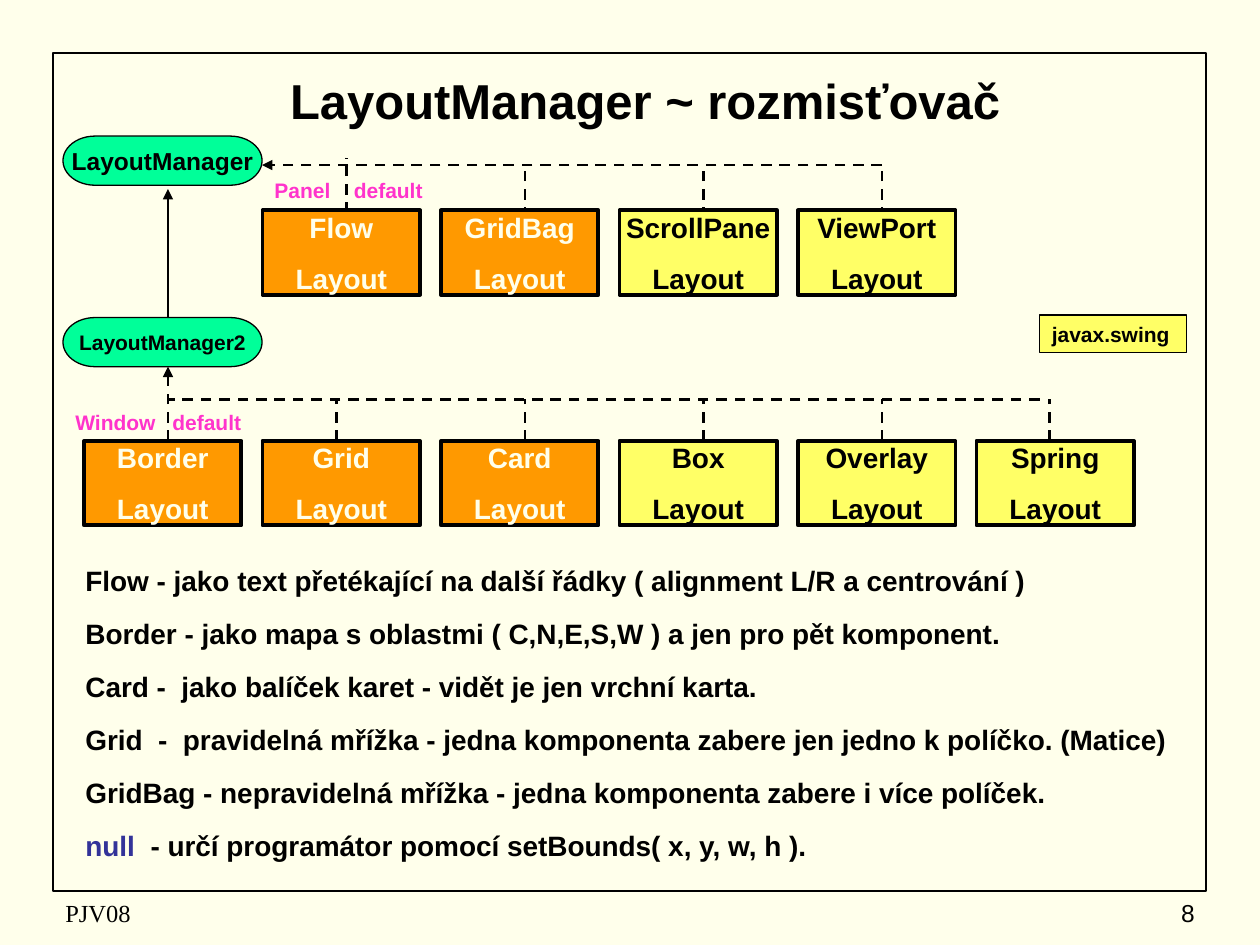
from lxml import etree
from pptx import Presentation
from pptx.dml.color import RGBColor
from pptx.enum.dml import MSO_LINE
from pptx.enum.shapes import MSO_CONNECTOR, MSO_SHAPE
from pptx.enum.text import MSO_ANCHOR, PP_ALIGN
from pptx.oxml.ns import qn
from pptx.util import Inches, Pt

STRAIGHT = MSO_CONNECTOR.STRAIGHT
RECTANGLE, TERMINATOR = MSO_SHAPE.RECTANGLE, MSO_SHAPE.FLOWCHART_TERMINATOR
DASH = MSO_LINE.DASH
TOP, MIDDLE = MSO_ANCHOR.TOP, MSO_ANCHOR.MIDDLE
LEFT, CENTER, RIGHT = PP_ALIGN.LEFT, PP_ALIGN.CENTER, PP_ALIGN.RIGHT

COLORS = {
    "cream": "FFFFEB", "black": "000000", "green": "00FF99", "orange": "FF9900",
    "yellow": "FFFF66", "pink": "FF33CC", "navy": "333399",
}
AWT = ("orange", "cream")
SWING = ("yellow", "black")

FIRST_COLUMN, FIRST_DROP, COLUMN_PITCH = 2 / 3, 4 / 3, 17 / 12
BOX_WIDTH, BOX_HEIGHT = 1.25, 0.67
UPPER_ROW, LOWER_ROW = 1.67, 3.5
UPPER_TRUNK, LOWER_TRUNK = 1.31, 3.17
INTERFACE_LEFT, INTERFACE_WIDTH, INTERFACE_HEIGHT = 0.5, 1.58, 0.39
MANAGER_TOP, MANAGER2_TOP = 1.08, 2.52

# Column, name, style
UPPER_LAYOUTS = [
    (1, "Flow", AWT), (2, "GridBag", AWT),
    (3, "ScrollPane", SWING), (4, "ViewPort", SWING),
]
LOWER_LAYOUTS = [
    (0, "Border", AWT), (1, "Grid", AWT), (2, "Card", AWT),
    (3, "Box", SWING), (4, "Overlay", SWING), (5, "Spring", SWING),
]
DESCRIPTIONS = [
    [("Flow - jako text přetékající na další řádky ( alignment L/R a centrování )", "black")],
    [("Border - jako mapa s oblastmi ( C,N,E,S,W ) a jen pro pět komponent.", "black")],
    [("Card -  jako balíček karet - vidět je jen vrchní karta.", "black")],
    [("Grid  -  pravidelná mřížka - jedna komponenta zabere jen jedno k políčko. (Matice)", "black")],
    [("GridBag - nepravidelná mřížka - jedna komponenta zabere i více políček.", "black")],
    [("null", "navy"), ("  - určí programátor pomocí setBounds( x, y, w, h ).", "black")],
]


def rgb(name):
    return RGBColor.from_string(COLORS[name])


def set_font(paragraph, size, color="black", bold=True, family="Arial"):
    font = paragraph.font
    font.name, font.size, font.bold = family, Pt(size), bold
    font.color.rgb = rgb(color)


def write(frame, lines, size, color="black", align=LEFT, anchor=TOP, wrap=True, gap=0, **font):
    frame.word_wrap = wrap
    frame.vertical_anchor = anchor
    for i, line in enumerate(lines):
        paragraph = frame.add_paragraph() if i else frame.paragraphs[0]
        paragraph.text = line
        paragraph.alignment = align
        if i:
            paragraph.space_before = Pt(gap)
        set_font(paragraph, size, color, **font)


def add_node(slide, preset, left, top, width, height, fill=None, line_width=0.75):
    node = slide.shapes.add_shape(
        preset, Inches(left), Inches(top), Inches(width), Inches(height))
    node.shadow.inherit = False
    if fill:
        node.fill.solid()
        node.fill.fore_color.rgb = rgb(fill)
    else:
        node.fill.background()
    node.line.color.rgb = rgb("black")
    node.line.width = Pt(line_width)
    return node


def add_text(slide, left, top, width, height):
    return slide.shapes.add_textbox(
        Inches(left), Inches(top), Inches(width), Inches(height)).text_frame


def add_interface(slide, name, top, size):
    node = add_node(slide, TERMINATOR, INTERFACE_LEFT, top,
                    INTERFACE_WIDTH, INTERFACE_HEIGHT, "green")
    write(node.text_frame, [name], size, align=CENTER, anchor=MIDDLE, wrap=False)


def add_layout_row(slide, layouts, top):
    for column, name, (fill, text_color) in layouts:
        left = FIRST_COLUMN + column * COLUMN_PITCH
        box = add_node(slide, RECTANGLE, left, top, BOX_WIDTH, BOX_HEIGHT, fill, 2.25)
        write(box.text_frame, [name, "Layout"], size=16, color=text_color,
              align=CENTER, anchor=MIDDLE, wrap=False, gap=10)


def add_link(slide, start, end, dashed=True, arrow=False):
    link = slide.shapes.add_connector(STRAIGHT, *map(Inches, start + end))
    link.line.color.rgb = rgb("black")
    link.line.width = Pt(1.5)
    if dashed:
        link.line.dash_style = DASH
    properties = link._element.spPr
    if arrow:
        etree.SubElement(properties.find(qn("a:ln")), qn("a:tailEnd"), type="triangle")
    etree.SubElement(properties, qn("a:effectLst"))


def add_drops(slide, positions, bottom, trunk):
    for x in positions:
        add_link(slide, (x, bottom), (x, trunk))


def add_default_label(slide, owner, left, top, width, tab):
    """Label a default layout, leaving a tab gap for the line that passes through."""
    frame = add_text(slide, left, top, width, 0.33)
    frame.margin_top = Inches(0.08)
    tabs = etree.SubElement(frame.paragraphs[0]._p.get_or_add_pPr(), qn("a:tabLst"))
    etree.SubElement(tabs, qn("a:tab"), pos=str(Inches(tab)), algn="l")
    write(frame, [f"{owner}\tdefault"], size=12, color="pink")


def add_descriptions(slide):
    frame = add_text(slide, 0.58, 4.42, 8.9, 2.48)
    write(frame, [""] * len(DESCRIPTIONS), size=16, gap=11.2)
    for paragraph, parts in zip(frame.paragraphs, DESCRIPTIONS):
        for text, color in parts:
            run = paragraph.add_run()
            run.text = text
            if color != "black":
                run.font.color.rgb = rgb(color)


def add_title(slide, text):
    title = slide.shapes.title
    title.left, title.top = Inches(0.83), Inches(0.5)
    title.width, title.height = Inches(8.58), Inches(0.58)
    write(title.text_frame, [text], size=28, align=CENTER, anchor=MIDDLE)


def add_links(slide):
    spine, flow, *upper_drops = [FIRST_DROP + i * COLUMN_PITCH for i in range(5)]
    grid, spring = 2.67, 8.33

    add_link(slide, (spine, MANAGER2_TOP), (spine, 1.5), dashed=False, arrow=True)
    add_link(slide, (upper_drops[-1], UPPER_TRUNK),
             (INTERFACE_LEFT + INTERFACE_WIDTH, UPPER_TRUNK), arrow=True)
    add_link(slide, (flow, 1.69), (flow, 1.25))
    add_drops(slide, upper_drops, 1.73, UPPER_TRUNK)

    add_link(slide, (8.25, LOWER_TRUNK), (spine, LOWER_TRUNK))
    add_drops(slide, [grid, *upper_drops, spring], LOWER_ROW, LOWER_TRUNK)
    add_link(slide, (spine, LOWER_ROW), (spine, MANAGER2_TOP + INTERFACE_HEIGHT), arrow=True)


def add_hierarchy(slide):
    add_interface(slide, "LayoutManager", MANAGER_TOP, 14)
    add_interface(slide, "LayoutManager2", MANAGER2_TOP, 12)
    add_layout_row(slide, LOWER_LAYOUTS, LOWER_ROW)
    add_links(slide)
    add_layout_row(slide, UPPER_LAYOUTS, UPPER_ROW)


def main():
    deck = Presentation()
    deck.slide_width, deck.slide_height = Inches(10), Inches(7.5)
    slide = deck.slides.add_slide(deck.slide_layouts[5])
    slide.background.fill.solid()
    slide.background.fill.fore_color.rgb = rgb("cream")

    add_node(slide, RECTANGLE, 0.42, 0.42, 9.15, 6.65, line_width=1)
    add_title(slide, "LayoutManager ~ rozmisťovač")
    add_default_label(slide, "Window", 0.5, 3.17, 1.67, tab=0.77)
    add_default_label(slide, "Panel", 2.08, 1.33, 1.58, tab=0.63)
    add_hierarchy(slide)
    package = add_node(slide, RECTANGLE, 8.25, 2.5, 1.17, 0.3, "yellow")
    write(package.text_frame, ["javax.swing"], size=12)
    add_descriptions(slide)
    write(add_text(slide, 0.42, 7.08, 3.16, 0.33), ["PJV08"], size=14,
          anchor=MIDDLE, bold=False, family="Times New Roman")
    write(add_text(slide, 7.5, 7.08, 2.08, 0.33), ["8"], size=14,
          align=RIGHT, anchor=MIDDLE, bold=False)
    deck.save("out.pptx")


if __name__ == "__main__":
    main()
